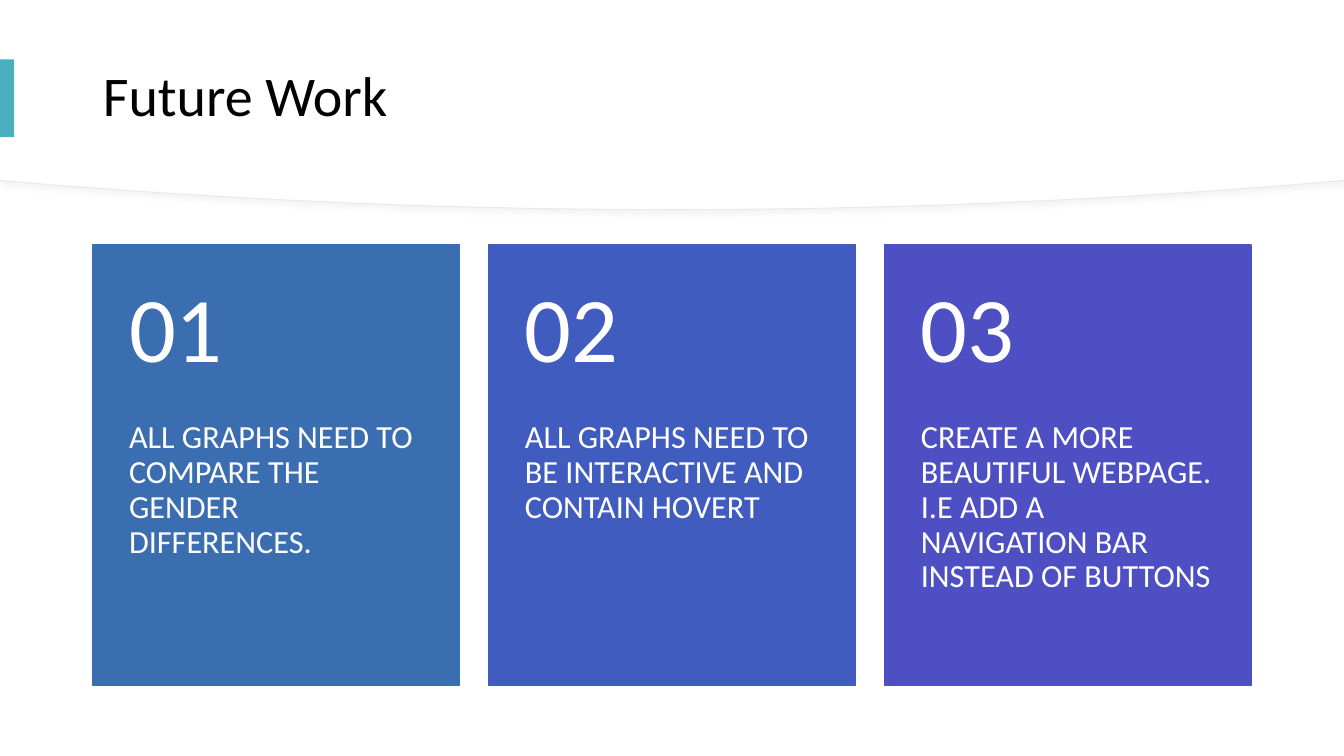
from dataclasses import dataclass

from lxml.etree import SubElement
from pptx import Presentation
from pptx.dml.color import RGBColor
from pptx.enum.shapes import MSO_SHAPE
from pptx.enum.text import MSO_ANCHOR, MSO_AUTO_SIZE, PP_ALIGN
from pptx.oxml.ns import qn
from pptx.util import Inches, Pt

WIDE, HIGH = 13.33, 7.5
EDGE, GAP = 0.92, 0.29
INSET = 0.36


@dataclass(frozen=True)
class Theme:
    font: str = "Calibri"
    paper: str = "FFFFFF"
    ink: str = "000000"
    rim: str = "E5EAF0"
    shade: str = "D9D9D9"
    accent: str = "4CAFC0"
    title: int = 40
    number: int = 66
    body: int = 23


THEME = Theme()
CARDS = [
    ("3B6EB1", "ALL GRAPHS NEED TO COMPARE THE GENDER DIFFERENCES."),
    ("405CBE", "ALL GRAPHS NEED TO BE INTERACTIVE AND CONTAIN HOVERT"),
    ("4D4FC3", "CREATE A MORE BEAUTIFUL WEBPAGE. I.E ADD A NAVIGATION BAR "
               "INSTEAD OF BUTTONS"),
]


def place(box):
    return [Inches(v) for v in box]


def paint(shape, fill, line=None, width=1):
    shape.shadow.inherit = False
    shape.fill.solid()
    shape.fill.fore_color.rgb = RGBColor.from_string(fill)
    if line:
        shape.line.color.rgb = RGBColor.from_string(line)
        shape.line.width = Pt(width)
    else:
        shape.line.fill.background()


def write(shape, text, size, color, anchor, insets=(0.1, 0.05, 0.1, 0.05)):
    """Fill a shape with one left-aligned paragraph; insets run left, top, right, bottom."""
    frame = shape.text_frame
    frame.text = text
    left, top, right, bottom = place(insets)
    look = {"word_wrap": True, "auto_size": MSO_AUTO_SIZE.NONE,
            "vertical_anchor": anchor, "margin_left": left, "margin_top": top,
            "margin_right": right, "margin_bottom": bottom}
    for name, value in look.items():
        setattr(frame, name, value)
    para = frame.paragraphs[0]
    para.alignment = PP_ALIGN.LEFT
    para.line_spacing = 0.9
    font = para.runs[0].font
    font.name, font.size = THEME.font, Pt(size)
    font.color.rgb = RGBColor.from_string(color)


def add_glow(shape):
    """Give the shape a soft shadow to the lower right."""
    effects = shape._element.spPr.find(qn("a:effectLst"))
    outer = SubElement(effects, qn("a:outerShdw"), blurRad=str(Pt(4)),
                       dist=str(Pt(3)), dir=str(45 * 60000), algn="tl",
                       rotWithShape="0")
    color = SubElement(outer, qn("a:srgbClr"), val=THEME.shade)
    SubElement(color, qn("a:alpha"), val="30000")


def add_curve(slide, depth, sag=0.29, steps=60):
    """Draw a band from the top edge whose lower side bows down to depth."""
    half = WIDE / 2
    arc = []
    for i in range(steps + 1):
        x = WIDE * (1 - i / steps)
        y = depth - sag * ((x - half) / half) ** 2
        arc.append((Inches(x), Inches(y)))
    pen = slide.shapes.build_freeform(0, 0)
    pen.add_line_segments([(Inches(WIDE), 0)] + arc, close=True)
    return pen.convert_to_shape()


def add_header(slide):
    rim, band = add_curve(slide, 2.08), add_curve(slide, 2.07)
    paint(rim, THEME.paper, THEME.rim, 0.75)
    add_glow(rim)
    paint(band, THEME.paper)

    title = slide.shapes.title
    for curve in (rim, band):
        title.element.addprevious(curve.element)
    title.left, title.top, title.width, title.height = place(
        (EDGE, 0.28, WIDE - 2 * EDGE, 1.39))
    write(title, "Future Work", THEME.title, THEME.ink, MSO_ANCHOR.MIDDLE)

    tab = slide.shapes.add_shape(MSO_SHAPE.RECTANGLE, *place((0, 0.59, 0.14, 0.77)))
    paint(tab, THEME.accent)


def add_card(slide, box, number, color, text):
    x, y, w, h = box
    head = h * 0.4
    parts = slide.shapes.add_group_shape().shapes
    paint(parts.add_shape(MSO_SHAPE.RECTANGLE, *place(box)), color, color)
    write(parts.add_textbox(*place((x, y + head, w, h - head))), text,
          THEME.body, THEME.paper, MSO_ANCHOR.TOP, (INSET, 0, INSET, INSET))
    write(parts.add_textbox(*place((x, y, w, head))), f"{number:02}",
          THEME.number, THEME.paper, MSO_ANCHOR.MIDDLE,
          (INSET, INSET / 2, INSET, INSET / 2))


def add_cards(slide, box):
    x, y, w, h = box
    wide = (w - GAP * (len(CARDS) - 1)) / len(CARDS)
    for i, (color, text) in enumerate(CARDS):
        add_card(slide, (x + i * (wide + GAP), y, wide, h), i + 1, color, text)


def main():
    deck = Presentation()
    deck.slide_width, deck.slide_height = place((WIDE, HIGH))
    slide = deck.slides.add_slide(deck.slide_layouts[5])
    slide.background.fill.solid()
    slide.background.fill.fore_color.rgb = RGBColor.from_string(THEME.paper)
    add_header(slide)
    add_cards(slide, (EDGE, 2.43, WIDE - 2 * EDGE, 4.37))
    deck.save("out.pptx")


if __name__ == "__main__":
    main()
